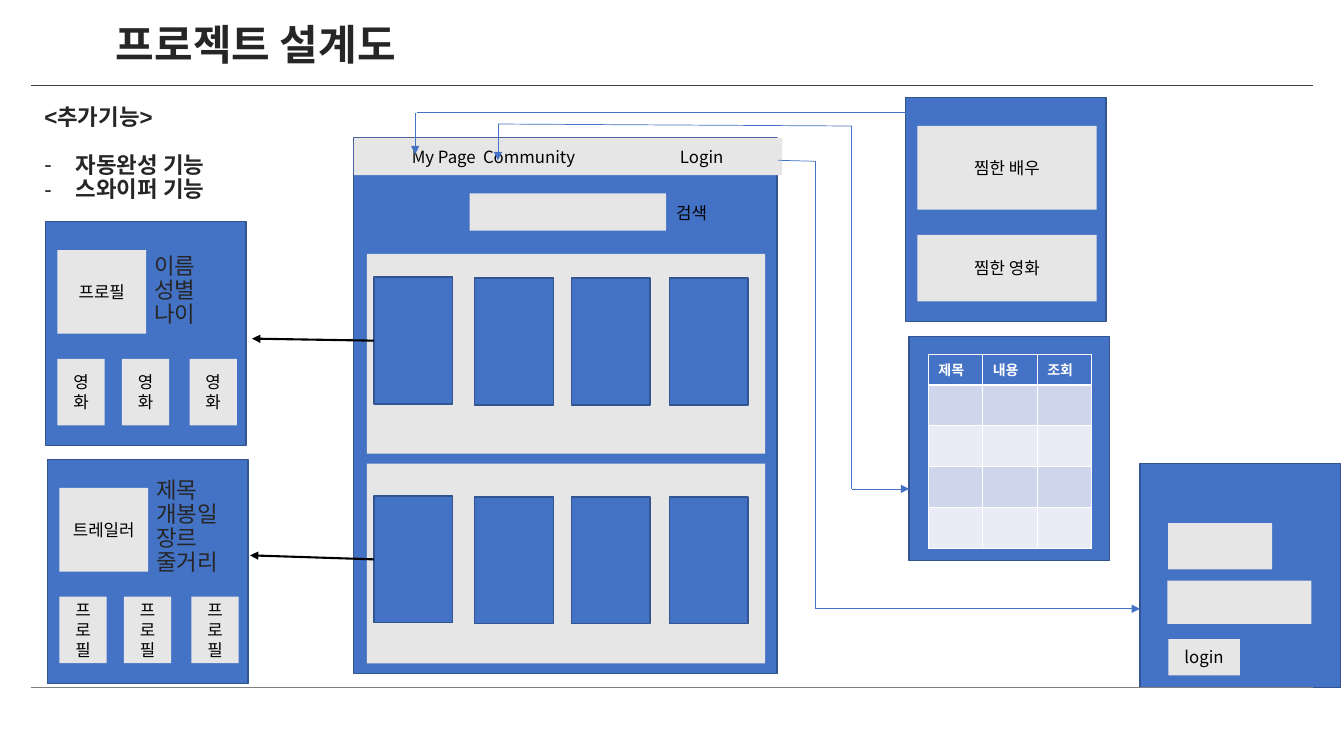
from lxml import etree
from pptx import Presentation
from pptx.dml.color import RGBColor
from pptx.enum.shapes import MSO_CONNECTOR as CONN, MSO_SHAPE as SHAPE
from pptx.enum.text import MSO_ANCHOR as ANCHOR, MSO_AUTO_SIZE as AUTO, PP_ALIGN as ALIGN
from pptx.oxml.ns import qn
from pptx.util import Pt

COLORS = {
    "blue": "4472C4", "edge": "325491", "grey": "E7E6E6", "black": "000000",
    "ink": "262626", "white": "FFFFFF", "rule_top": "3F3F3F", "rule_bottom": "7F7F7F",
    "band_dark": "CFD5EA", "band_light": "E9EBF5",
}
RGB = {name: RGBColor.from_string(value) for name, value in COLORS.items()}
KOREAN = "Noto Sans CJK KR"


def write(tf, text, size=12, color="black", font=KOREAN, bold=False,
          align=ALIGN.LEFT, spacing=None, anchor=ANCHOR.MIDDLE, left=7.2):
    tf.text = text
    tf.word_wrap = True
    tf.auto_size = AUTO.NONE
    tf.vertical_anchor = anchor
    tf.margin_left, tf.margin_right = Pt(left), Pt(7.2)
    tf.margin_top = tf.margin_bottom = Pt(3.6)
    for p in tf.paragraphs:
        p.alignment = align
        p.line_spacing = spacing
        p.space_before = Pt(0)
        for r in p.runs:
            r.font.size, r.font.bold, r.font.name = Pt(size), bold, font
            r.font.color.rgb = RGB[color]
            etree.SubElement(r.font._element, qn("a:ea"), typeface=KOREAN)


def box(x, y, w, h, fill="grey", text=""):
    """Draw an outlined blue panel or a plain grey block with a centred label."""
    sp = s.shapes.add_shape(SHAPE.RECTANGLE, Pt(x), Pt(y), Pt(w), Pt(h))
    sp.shadow.inherit = False
    sp.fill.solid()
    sp.fill.fore_color.rgb = RGB[fill]
    if fill == "blue":
        sp.line.color.rgb = RGB["edge"]
        sp.line.width = Pt(1)
    else:
        sp.line.fill.background()
    if text:
        write(sp.text_frame, text, align=ALIGN.CENTER)
    return sp


prs = Presentation()
prs.slide_width, prs.slide_height = Pt(960), Pt(540)
s = prs.slides.add_slide(prs.slide_layouts[1])

# Title and list of extra features
title, features = s.shapes.title, s.placeholders[1]
title.left, title.top, title.width, title.height = Pt(82.8), Pt(13.7), Pt(850.3), Pt(40.3)
write(title.text_frame, "프로젝트 설계도", 30, "ink", "Arial", True, spacing=0.9, left=0)
features.left, features.top, features.width, features.height = Pt(31.7), Pt(69.8), Pt(143.3), Pt(81.4)
write(features.text_frame, "<추가기능>\n자동완성 기능\n스와이퍼 기능", 16, "ink", "Arial", True,
      spacing=0.9, left=0)
for i, p in enumerate(features.text_frame.paragraphs):
    pPr = p._p.get_or_add_pPr()
    indent = Pt(22.5) if i else 0
    pPr.set("marL", str(indent))
    pPr.set("indent", str(-indent))
    if i:
        bullet_color = etree.SubElement(pPr, qn("a:buClr"))
        etree.SubElement(bullet_color, qn("a:srgbClr"), val=COLORS["ink"])
        etree.SubElement(pPr, qn("a:buFont"), typeface="Arial")
        etree.SubElement(pPr, qn("a:buChar"), char="-")
    else:
        etree.SubElement(pPr, qn("a:buNone"))
features.text_frame.paragraphs[1].space_before = Pt(17)

# Detail cards: actor and movie
PANEL_W, PANEL_H = 143.3, 159.8
cards = [
    (32.4, 158.4, "프로필", "이름\n성별\n나이", 17.3, 64.8, "영화"),
    (33.8, 328.3, "트레일러", "제목\n개봉일\n장르\n줄거리", -10.1, 116.6, "프로필"),
]
for x, y, media, facts, facts_dy, facts_h, tile in cards:
    box(x, y, PANEL_W, PANEL_H, "blue")
    box(x + 8.6, y + 20.2, 63.4, 59.8, text=media)
    sp = s.shapes.add_textbox(Pt(x + 77.8), Pt(y + facts_dy), Pt(88.6), Pt(facts_h))
    write(sp.text_frame, facts, 16, "ink", spacing=0.9, left=0)
    for dx in (8.6, 54.7, 103):
        box(x + dx, y + 97.9, 33.8, 47.5, text=tile)

# Main page: menu bar, search, two shelves of posters
box(252.7, 98.6, 302.4, 382.3, "blue")
menu = box(252.7, 98.6, 306, 26.6)
write(menu.text_frame, "My Page\tCommunity\tLogin", left=41.5)
tabs = etree.SubElement(menu.text_frame.paragraphs[0]._p.get_or_add_pPr(), qn("a:tabLst"))
for stop in (50.8, 191.5):
    etree.SubElement(tabs, qn("a:tab"), pos=str(Pt(stop)), algn="l")
box(335.5, 138.2, 140.4, 26.6)
sp = s.shapes.add_textbox(Pt(475.9), Pt(141.1), Pt(72), Pt(21.6))
write(sp.text_frame, "검색", anchor=ANCHOR.TOP)

first_posters = []
for shelf_y, poster_y in ((181.4, 198), (331.2, 354.2)):
    box(262.1, shelf_y, 284.4, 142.6)
    first_posters.append(box(267.1, poster_y, 56.2, 90.7, "blue"))
    for x in (339.1, 408.2, 478.1):
        box(x, poster_y + 0.7, 56.2, 90.7, "blue")

# My page, community and login panels
for x, y in ((646.6, 69.8), (649.4, 240.5), (814.3, 331.2)):
    box(x, y, PANEL_W, PANEL_H, "blue")
box(655.2, 90, 128.2, 59.8, text="찜한 배우")
box(655.2, 167.8, 128.2, 47.5, text="찜한 영화")
box(833.8, 414.7, 103, 31)
box(834.5, 373.7, 74.2, 33.1)
box(834.5, 456.5, 51.1, 25.9, text="login")

table = s.shapes.add_table(5, 3, Pt(663.1), Pt(253.4), Pt(116.7), Pt(134.7)).table
for column in table.columns:
    column.width = Pt(38.9)
for i, row in enumerate(table.rows):
    row.height = Pt(29 if i else 18.7)
    for cell, heading in zip(row.cells, ("제목", "내용", "조회")):
        cell.fill.solid()
        band = "band_dark" if i % 2 else "band_light"
        cell.fill.fore_color.rgb = RGB[band if i else "blue"]
        if i == 0:
            cell.text = heading
            r = cell.text_frame.paragraphs[0].runs[0]
            r.font.size, r.font.bold, r.font.name = Pt(10), True, KOREAN
            r.font.color.rgb = RGB["white"]
            etree.SubElement(r.font._element, qn("a:ea"), typeface=KOREAN)

# Rules and arrows: start, end, colour, width, arrowhead, poster joined at the start
links = [
    ((22.3, 491), (938.2, 491), "rule_bottom", 0.75, False, None),
    ((22.3, 61.2), (938.2, 61.2), "rule_top", 0.75, False, None),
    ((267.1, 243.4), (180, 241.9), "black", 1.5, True, first_posters[0]),
    ((267.1, 399.6), (178.6, 396.7), "black", 1.5, True, first_posters[1]),
]
routes = [
    ([(296.6, 80.6), (296.6, 110.2)], True),
    ([(355.7, 88.6), (355.7, 114.5)], True),
    ([(355.7, 88.6), (608.4, 90), (608.4, 349.2), (649.4, 349.2)], True),
    ([(555.8, 114.5), (582.5, 115.2), (582.5, 434.9), (814.3, 434.9)], True),
]
for points, arrow in routes:
    for start, end in zip(points, points[1:]):
        links.append((start, end, "blue", 0.5, arrow and end == points[-1], None))
links.append(((298.1, 80.6), (646.6, 81.7), "blue", 0.5, True, None))

for start, end, color, width, arrow, poster in links:
    kind = CONN.ELBOW if start == (298.1, 80.6) else CONN.STRAIGHT
    line = s.shapes.add_connector(kind, *map(Pt, start + end))
    if poster:
        line.begin_connect(poster, 1)
    line.line.color.rgb = RGB[color]
    line.line.width = Pt(width)
    spPr = line._element.spPr
    if arrow:
        etree.SubElement(spPr.find(qn("a:ln")), qn("a:tailEnd"), type="triangle")
    if kind == CONN.ELBOW:
        geometry = spPr.find(qn("a:prstGeom"))
        etree.SubElement(geometry.find(qn("a:avLst")), qn("a:gd"), name="adj1", fmla="val 118600")
    etree.SubElement(spPr, qn("a:effectLst"))

prs.save("out.pptx")
